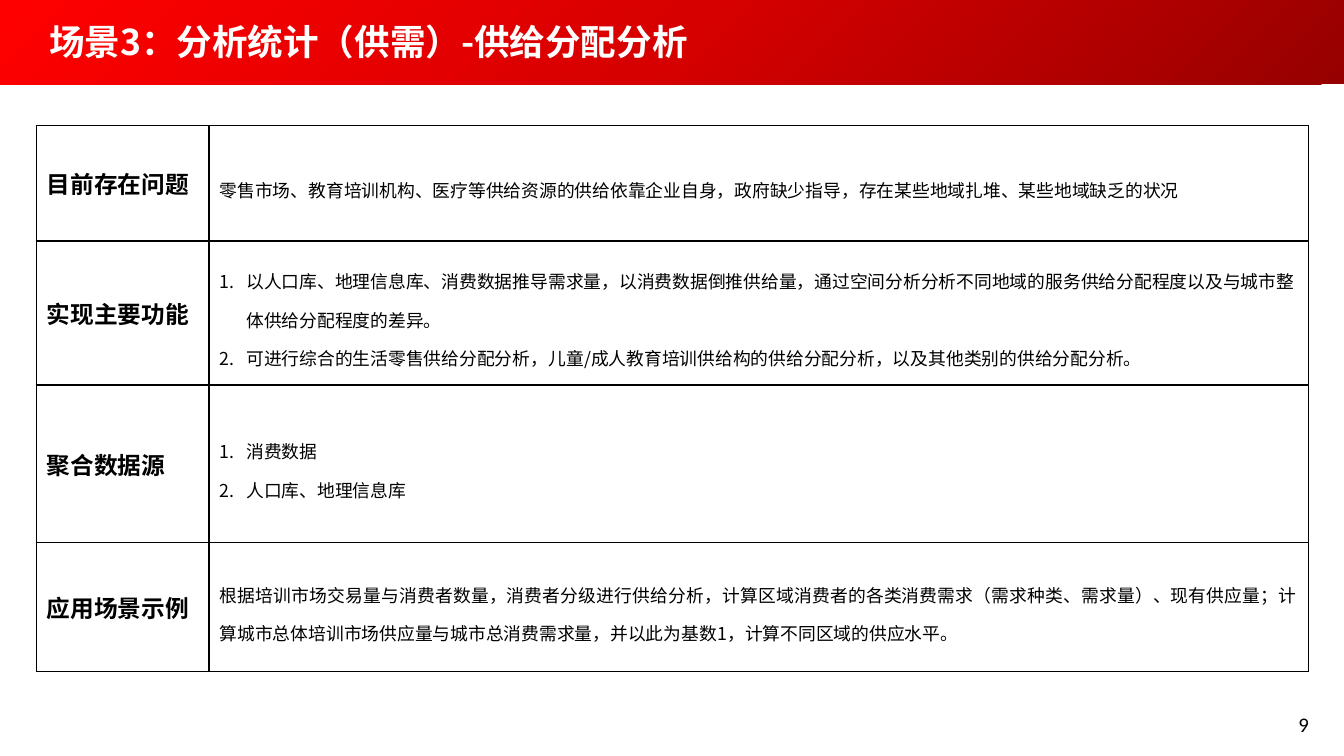
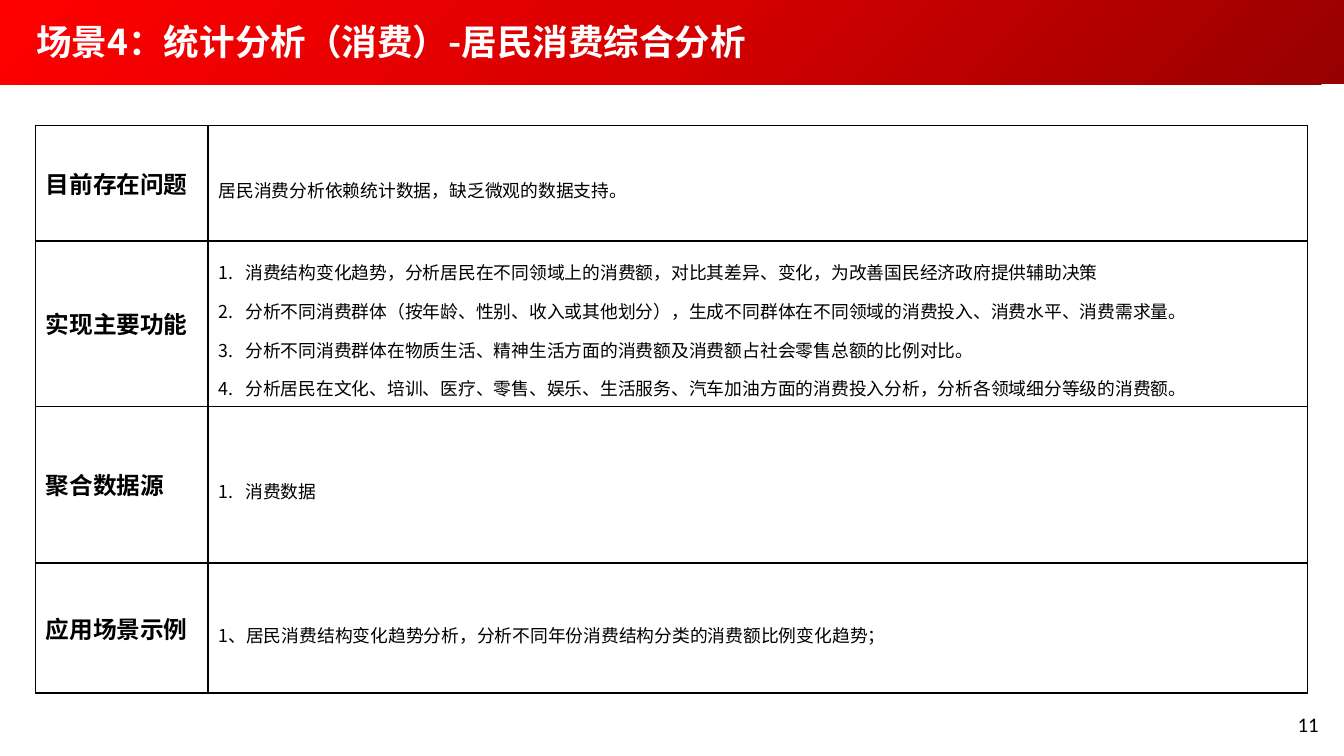
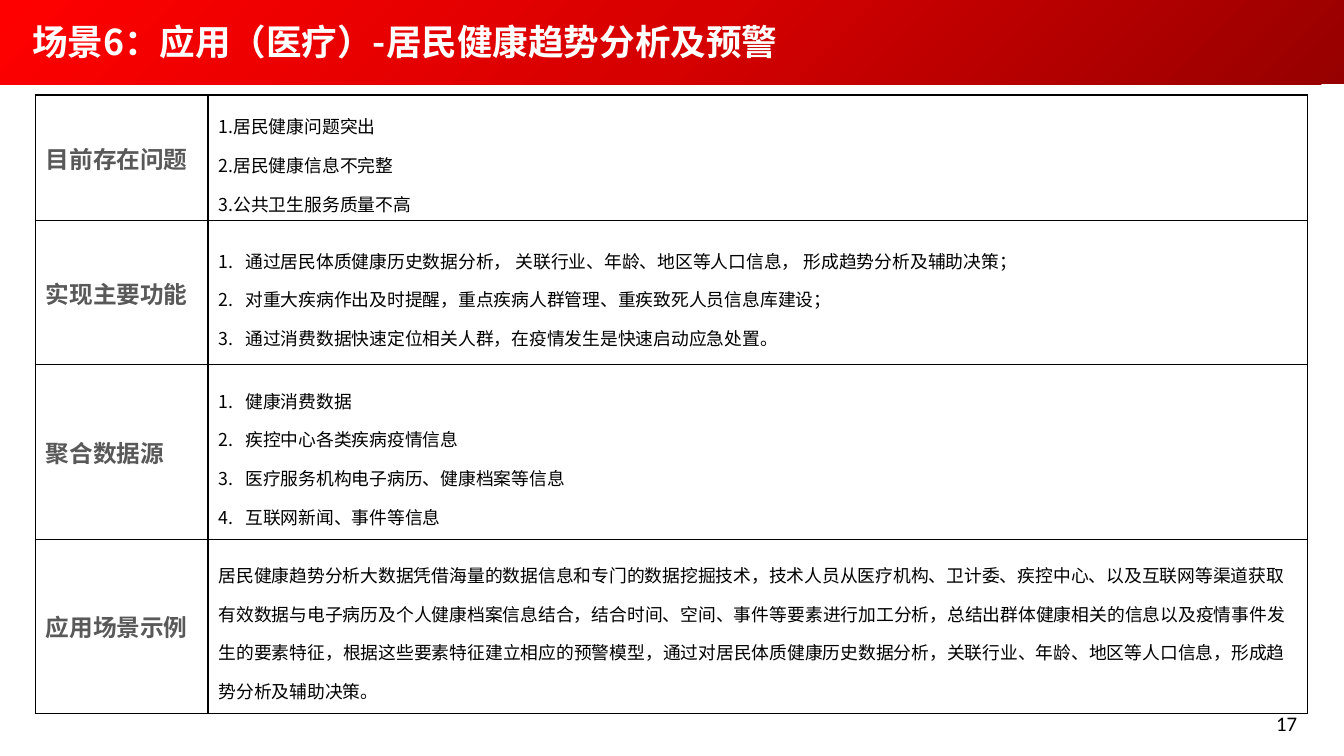
from dataclasses import dataclass

from lxml.etree import SubElement
from pptx import Presentation
from pptx.dml.color import RGBColor
from pptx.enum.shapes import MSO_SHAPE
from pptx.enum.text import MSO_ANCHOR, PP_ALIGN
from pptx.oxml.ns import qn
from pptx.util import Pt

PX = 9144  # EMU, 100 px to the inch


@dataclass(frozen=True)
class Theme:
    font: str = "Noto Sans CJK SC"
    number_font: str = "Calibri"
    black: str = "000000"
    grey: str = "595959"
    white: str = "FFFFFF"
    band_stops: tuple = ((0, "970000"), (50, "D70000"), (100, "FF0000"))
    title_size: int = 24
    label_size: int = 16
    body_size: int = 12
    number_size: int = 14
    line_spacing: float = 1.5
    border: int = 12700


THEME = Theme()
WIDTH, HEIGHT, BAND_HEIGHT = 1260, 709, 79
COLUMNS = (162, 1031)
INDENT = 25
LABELS = ("目前存在问题", "实现主要功能", "聚合数据源", "应用场景示例")
PLAIN, NUMBERED, JUSTIFIED = "plain", "numbered", "justified"

SCENES = [
    {
        "title": "场景3：分析统计（供需）-供给分配分析",
        "title_left": 35,
        "number": "9",
        "number_at": (943, 663),
        "table_at": (34, 118),
        "row_heights": (108, 135, 148, 121),
        "label_color": THEME.black,
        "details": [
            (PLAIN, ["零售市场、教育培训机构、医疗等供给资源的供给依靠企业自身，政府缺少指导，存在某些地域扎堆、某些地域缺乏的状况"]),
            (NUMBERED, [
                "以人口库、地理信息库、消费数据推导需求量，以消费数据倒推供给量，通过空间分析分析不同地域的服务供给分配程度以及与城市整体供给分配程度的差异。",
                "可进行综合的生活零售供给分配分析，儿童/成人教育培训供给构的供给分配分析，以及其他类别的供给分配分析。",
            ]),
            (NUMBERED, ["消费数据", "人口库、地理信息库"]),
            (JUSTIFIED, ["根据培训市场交易量与消费者数量，消费者分级进行供给分析，计算区域消费者的各类消费需求（需求种类、需求量）、现有供应量；计算城市总体培训市场供应量与城市总消费需求量，并以此为基数1，计算不同区域的供应水平。"]),
        ],
    },
    {
        "title": "场景4：统计分析（消费）-居民消费综合分析",
        "title_left": 23,
        "number": "11",
        "number_at": (952, 663),
        "table_at": (33, 118),
        "row_heights": (108, 155, 147, 122),
        "label_color": THEME.black,
        "details": [
            (PLAIN, ["居民消费分析依赖统计数据，缺乏微观的数据支持。"]),
            (NUMBERED, [
                "消费结构变化趋势，分析居民在不同领域上的消费额，对比其差异、变化，为改善国民经济政府提供辅助决策",
                "分析不同消费群体（按年龄、性别、收入或其他划分），生成不同群体在不同领域的消费投入、消费水平、消费需求量。",
                "分析不同消费群体在物质生活、精神生活方面的消费额及消费额占社会零售总额的比例对比。",
                "分析居民在文化、培训、医疗、零售、娱乐、生活服务、汽车加油方面的消费投入分析，分析各领域细分等级的消费额。",
            ]),
            (NUMBERED, ["消费数据"]),
            (JUSTIFIED, ["1、居民消费结构变化趋势分析，分析不同年份消费结构分类的消费额比例变化趋势；"]),
        ],
    },
    {
        "title": "场景6：应用（医疗）-居民健康趋势分析及预警",
        "title_left": 19,
        "number": "17",
        "number_at": (932, 662),
        "table_at": (33, 89),
        "row_heights": (118, 135, 164, 163),
        "label_color": THEME.grey,
        "details": [
            (PLAIN, ["1.居民健康问题突出", "2.居民健康信息不完整", "3.公共卫生服务质量不高"]),
            (NUMBERED, [
                "通过居民体质健康历史数据分析， 关联行业、年龄、地区等人口信息， 形成趋势分析及辅助决策；",
                "对重大疾病作出及时提醒，重点疾病人群管理、重疾致死人员信息库建设；",
                "通过消费数据快速定位相关人群，在疫情发生是快速启动应急处置。",
            ]),
            (NUMBERED, [
                "健康消费数据",
                "疾控中心各类疾病疫情信息",
                "医疗服务机构电子病历、健康档案等信息",
                "互联网新闻、事件等信息",
            ]),
            (PLAIN, ["居民健康趋势分析大数据凭借海量的数据信息和专门的数据挖掘技术，技术人员从医疗机构、卫计委、疾控中心、以及互联网等渠道获取有效数据与电子病历及个人健康档案信息结合，结合时间、空间、事件等要素进行加工分析，总结出群体健康相关的信息以及疫情事件发生的要素特征，根据这些要素特征建立相应的预警模型，通过对居民体质健康历史数据分析，关联行业、年龄、地区等人口信息，形成趋势分析及辅助决策。"]),
        ],
    },
]


def emu(*lengths):
    return [length * PX for length in lengths]


def add_run(paragraph, text, size, color, bold=False, font=THEME.font):
    run = paragraph.add_run()
    run.text = text
    run.font.size = Pt(size)
    run.font.bold = bold
    run.font.color.rgb = RGBColor.from_string(color)
    run.font.name = font
    properties = run.font._element
    properties.set("lang", "zh-CN")
    SubElement(properties, qn("a:ea"), typeface=font)


def add_band(slide):
    band = slide.shapes.add_shape(MSO_SHAPE.RECTANGLE, *emu(0, 0, WIDTH, BAND_HEIGHT))
    band.shadow.inherit = False
    band.line.fill.background()
    band.fill.gradient()
    band.fill.gradient_angle = 135
    stops = band._element.spPr.find(".//" + qn("a:gsLst"))
    for stop in list(stops):
        stops.remove(stop)
    for percent, color in THEME.band_stops:
        stop = SubElement(stops, qn("a:gs"), pos=str(percent * 1000))
        SubElement(stop, qn("a:srgbClr"), val=color)


def add_title(slide, text, left):
    frame = slide.shapes.add_textbox(*emu(left, 7, 1191, 64)).text_frame
    frame.word_wrap = True
    frame.vertical_anchor = MSO_ANCHOR.MIDDLE
    frame.margin_left, frame.margin_right, frame.margin_top, frame.margin_bottom = emu(11, 11, 6, 6)
    add_run(frame.paragraphs[0], text, THEME.title_size, THEME.white, bold=True)


def add_page_number(slide, text, position):
    frame = slide.shapes.add_textbox(*emu(*position, 294, 38)).text_frame
    frame.word_wrap = True
    frame.paragraphs[0].alignment = PP_ALIGN.RIGHT
    add_run(frame.paragraphs[0], text, THEME.number_size, THEME.black, font=THEME.number_font)


def style_cell(cell):
    """Middle anchor, no fill and a thin line on every side."""
    cell.vertical_anchor = MSO_ANCHOR.MIDDLE
    properties = cell._tc.get_or_add_tcPr()
    for side in ("lnL", "lnR", "lnT", "lnB"):
        line = SubElement(properties, qn("a:" + side), w=str(THEME.border))
        SubElement(SubElement(line, qn("a:solidFill")), qn("a:srgbClr"), val=THEME.black)
    cell.fill.background()


def write_details(frame, style, lines):
    for index, text in enumerate(lines):
        paragraph = frame.add_paragraph() if index else frame.paragraphs[0]
        if style == NUMBERED:
            properties = paragraph._p.get_or_add_pPr()
            properties.set("marL", str(INDENT * PX))
            properties.set("indent", str(-INDENT * PX))
            SubElement(properties, qn("a:buAutoNum"), type="arabicPeriod")
        elif style == JUSTIFIED:
            paragraph.alignment = PP_ALIGN.JUSTIFY
        paragraph.line_spacing = THEME.line_spacing
        add_run(paragraph, text, THEME.body_size, THEME.black)


def add_scene_table(slide, scene):
    heights = scene["row_heights"]
    table = slide.shapes.add_table(
        len(LABELS), len(COLUMNS), *emu(*scene["table_at"], sum(COLUMNS), sum(heights))
    ).table
    table.first_row = table.horz_banding = False
    for column, width in zip(table.columns, emu(*COLUMNS)):
        column.width = width
    for row, height, label, (style, lines) in zip(table.rows, emu(*heights), LABELS, scene["details"]):
        row.height = height
        label_cell, detail_cell = row.cells
        style_cell(label_cell)
        style_cell(detail_cell)
        add_run(label_cell.text_frame.paragraphs[0], label, THEME.label_size, scene["label_color"], bold=True)
        write_details(detail_cell.text_frame, style, lines)


def main():
    deck = Presentation()
    deck.slide_width, deck.slide_height = emu(WIDTH, HEIGHT)
    for scene in SCENES:
        slide = deck.slides.add_slide(deck.slide_layouts[6])
        add_band(slide)
        add_title(slide, scene["title"], scene["title_left"])
        add_scene_table(slide, scene)
        add_page_number(slide, scene["number"], scene["number_at"])
    deck.save("out.pptx")


if __name__ == "__main__":
    main()
